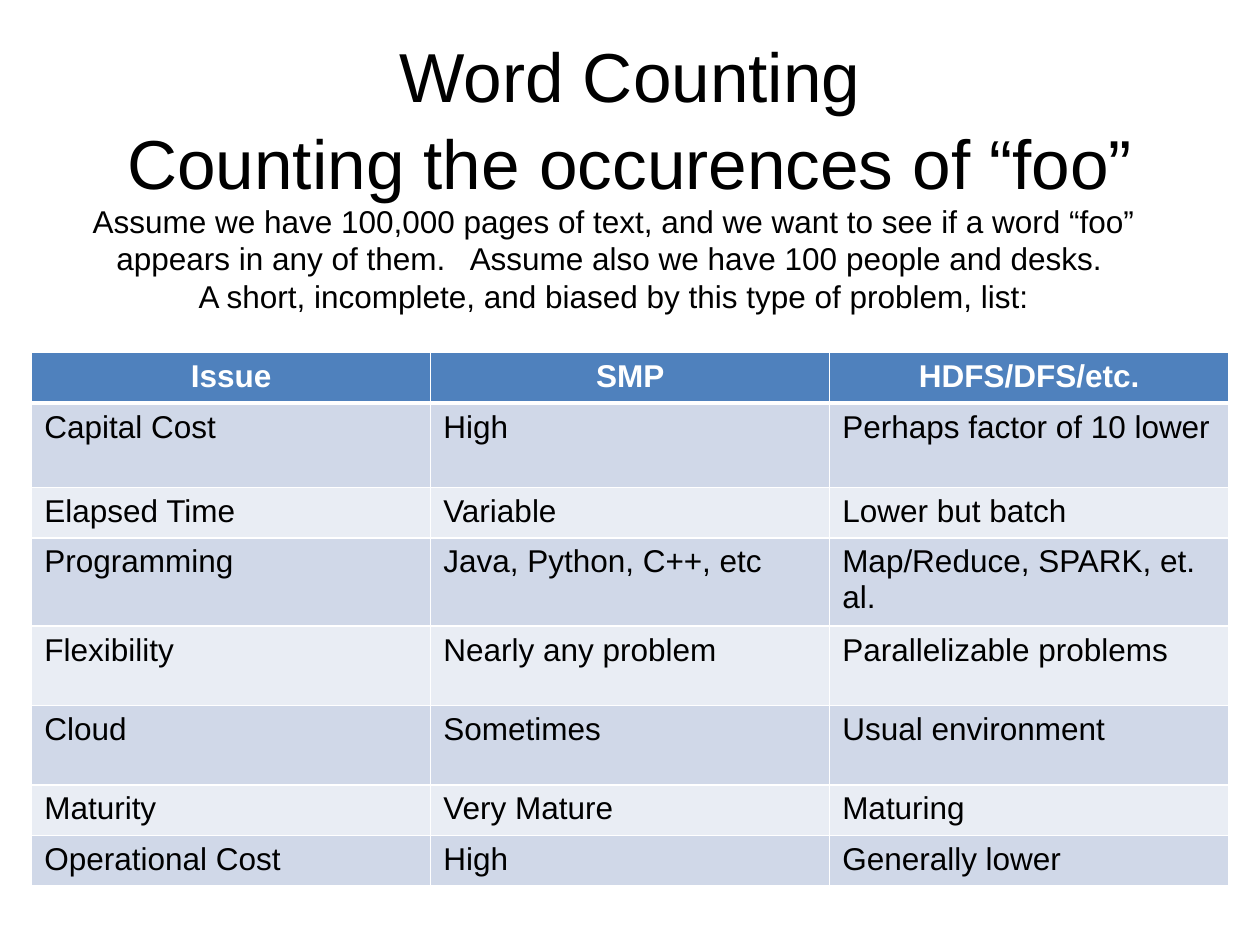
from dataclasses import dataclass

from lxml import etree
from pptx import Presentation
from pptx.dml.color import RGBColor
from pptx.enum.text import MSO_ANCHOR, MSO_AUTO_SIZE, PP_ALIGN
from pptx.oxml.ns import qn
from pptx.util import Cm, Pt

CENTER, LEFT = PP_ALIGN.CENTER, PP_ALIGN.LEFT
MIDDLE = MSO_ANCHOR.MIDDLE
NO_FIT = MSO_AUTO_SIZE.NONE
TITLE_ONLY = 5


@dataclass(frozen=True)
class Theme:
    font: str = "Arial"
    title_size: float = 39.6
    body_size: float = 18
    text: str = "000000"
    header_text: str = "FFFFFF"
    header_fill: str = "4F81BD"
    bands: tuple = ("D0D8E8", "E9EDF4")
    rule: str = "FFFFFF"
    thin: float = 1
    thick: float = 3


class SlideBuilder:
    def __init__(self, slide, theme):
        self.slide = slide
        self.theme = theme

    def style(self, frame, size, color, align, bold=False):
        for paragraph in frame.paragraphs:
            paragraph.alignment = align
            for run in paragraph.runs:
                run.font.name = self.theme.font
                run.font.size = Pt(size)
                run.font.bold = bold
                run.font.color.rgb = RGBColor.from_string(color)

    def title(self, text, left, top, width, height):
        heading = self.slide.shapes.title
        heading.left, heading.top = Cm(left), Cm(top)
        heading.width, heading.height = Cm(width), Cm(height)
        frame = heading.text_frame
        frame.text = text
        frame.word_wrap = True
        frame.auto_size = NO_FIT
        frame.vertical_anchor = MIDDLE
        frame.paragraphs[0].line_spacing = 1.04
        self.style(frame, self.theme.title_size, self.theme.text, CENTER)

    def text(self, text, left, top, width, height):
        box = self.slide.shapes.add_textbox(Cm(left), Cm(top), Cm(width), Cm(height))
        frame = box.text_frame
        frame.text = text
        frame.word_wrap = True
        self.style(frame, self.theme.body_size, self.theme.text, CENTER)

    def borders(self, cell, top, bottom):
        properties = cell._tc.get_or_add_tcPr()
        thin = self.theme.thin
        for side, width in (("L", thin), ("R", thin), ("T", top), ("B", bottom)):
            line = etree.SubElement(properties, qn(f"a:ln{side}"), w=str(Pt(width)))
            fill = etree.SubElement(line, qn("a:solidFill"))
            etree.SubElement(fill, qn("a:srgbClr"), val=self.theme.rule)

    def table(self, rows, heights, left, top, width):
        theme = self.theme
        columns = len(rows[0])
        table = self.slide.shapes.add_table(
            len(rows), columns, Cm(left), Cm(top), Cm(width), Cm(sum(heights))
        ).table
        for column in table.columns:
            column.width = Cm(width / columns)
        for r, (values, height) in enumerate(zip(rows, heights)):
            table.rows[r].height = Cm(height)
            header = r == 0
            fill = theme.header_fill if header else theme.bands[(r - 1) % 2]
            color = theme.header_text if header else theme.text
            # A thick rule separates the header from the body
            above = theme.thick if r == 1 else theme.thin
            below = theme.thick if header else theme.thin
            for cell, value in zip(table.rows[r].cells, values):
                cell.text = value
                self.borders(cell, above, below)
                cell.fill.solid()
                cell.fill.fore_color.rgb = RGBColor.from_string(fill)
                self.style(cell.text_frame, theme.body_size, color,
                           CENTER if header else LEFT, header)


COMPARISON = [
    ("Issue", "SMP", "HDFS/DFS/etc."),
    ("Capital Cost", "High", "Perhaps factor of 10 lower"),
    ("Elapsed Time", "Variable", "Lower but batch"),
    ("Programming", "Java, Python, C++, etc", "Map/Reduce, SPARK, et. al."),
    ("Flexibility", "Nearly any problem", "Parallelizable problems"),
    ("Cloud", "Sometimes", "Usual environment"),
    ("Maturity", "Very Mature", "Maturing"),
    ("Operational Cost", "High", "Generally lower"),
]
SHORT, MEDIUM, TALL = 1.0, 1.6, 1.7
ROW_HEIGHTS = [SHORT, TALL, SHORT, TALL, MEDIUM, MEDIUM, SHORT, SHORT]


def main():
    deck = Presentation()
    deck.slide_width, deck.slide_height = Cm(25.4), Cm(19.05)
    slide = deck.slides.add_slide(deck.slide_layouts[TITLE_ONLY])
    builder = SlideBuilder(slide, Theme())

    # Title
    builder.title("Word Counting\vCounting the occurences of “foo”",
                  1.27, 0.76, 22.86, 3.18)

    # Problem statement
    builder.text(
        "Assume we have 100,000 pages of text, and we want to see if a word “foo” "
        "appears in any of them.   Assume also we have 100 people and desks. \n"
        "A short, incomplete, and biased by this type of problem, list:",
        0.84, 3.94, 23.06, 2.57)

    # Comparison of the two approaches
    builder.table(COMPARISON, ROW_HEIGHTS, 0.64, 7.11, 24.13)

    deck.save("out.pptx")


if __name__ == "__main__":
    main()
